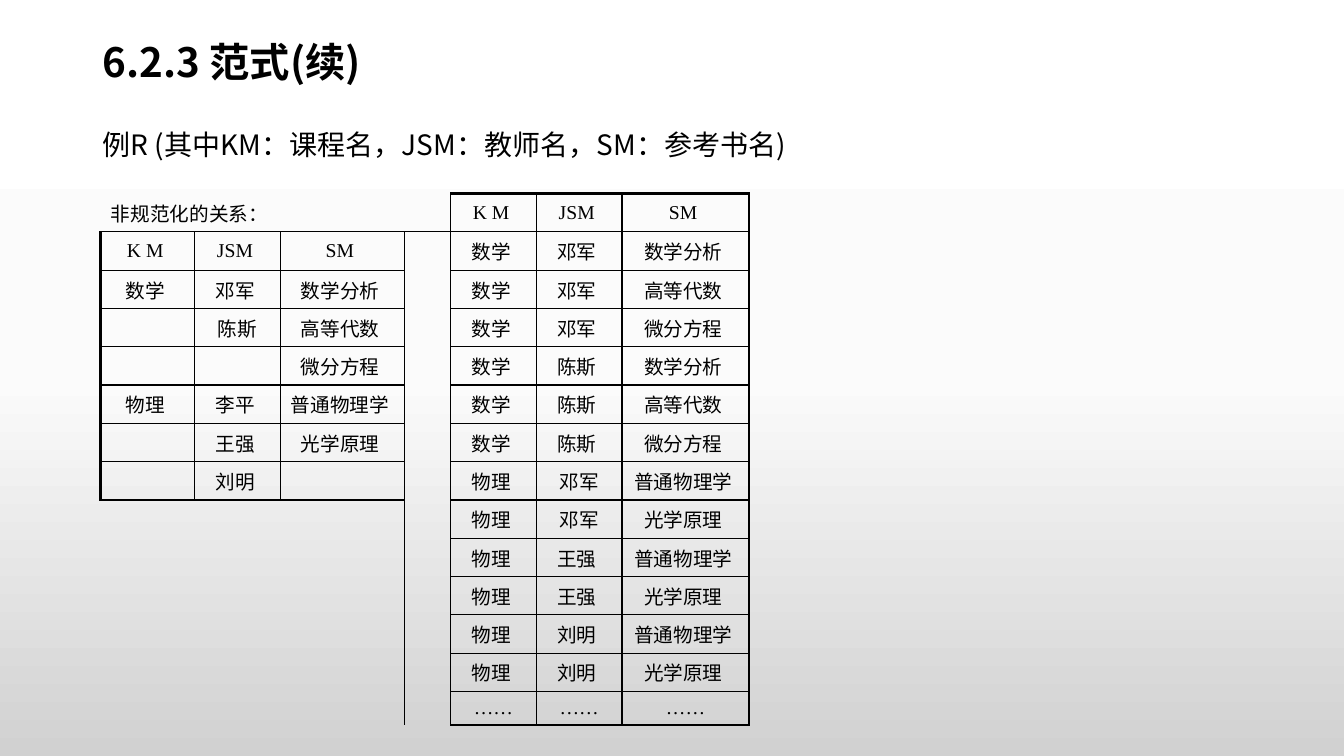
"""Build the slide comparing an unnormalised relation with its flat form."""
from pptx import Presentation
from pptx.dml.color import RGBColor
from pptx.enum.text import MSO_ANCHOR as Anchor, PP_ALIGN as Align
from pptx.oxml import parse_xml
from pptx.oxml.ns import nsdecls, qn
from pptx.util import Inches, Pt

COLORS = {"ink": "000000", "top": "FFFFFF", "middle": "FBFBFB", "bottom": "D1D1D1"}
SANS, SERIF = "Noto Sans CJK SC", "Times New Roman"
TITLE = "6.2.3 范式(续)"
EXAMPLE = "例R (其中KM：课程名，JSM：教师名，SM：参考书名)"
CAPTION = "非规范化的关系："
HEADER = ("K M ", "JSM ", "SM ")
NESTED = [
    HEADER,
    ("数学 ", "邓军 ", "数学分析 "),
    ("", "陈斯", "高等代数 "),
    ("", "", "微分方程 "),
    ("物理 ", "李平 ", "普通物理学 "),
    ("", "王强 ", "光学原理 "),
    ("", "刘明 ", ""),
]
MATHS_BOOKS = ("数学分析 ", "高等代数 ", "微分方程 ")
PHYSICS_BOOKS = ("普通物理学 ", "光学原理 ")
COURSES = [
    ("数学 ", ("邓军 ", "陈斯 "), MATHS_BOOKS),
    ("物理 ", ("邓军", "王强 ", "刘明 "), PHYSICS_BOOKS),
]
FLAT = [HEADER]
FLAT += [(course, teacher, book) for course, teachers, books in COURSES
         for teacher in teachers for book in books]
FLAT.append(("……",) * 3)

COLUMN_WIDTHS = (0.93, 0.85, 1.23, 0.46, 0.85, 0.85, 1.26)
ROW_HEIGHTS = (0.38,) * 13 + (0.32,)
GAP_COLUMN, FLAT_COLUMN = 3, 4
LAST_ROW, LAST_COLUMN = len(ROW_HEIGHTS) - 1, len(COLUMN_WIDTHS) - 1
MERGES = [
    ((0, 0), (0, 3)), ((1, 3), (13, 3)), ((8, 0), (13, 0)), ((8, 1), (9, 1)),
    ((8, 2), (9, 2)), ((10, 1), (10, 2)), ((11, 1), (13, 1)), ((11, 2), (13, 2)),
]
SIDES = {"L": (0, -1), "R": (0, 1), "T": (-1, 0), "B": (1, 0)}
THIN, THICK = 1, 2.25


def style(para, size, font, align, bold=False):
    para.alignment = align
    para.font.size = Pt(size)
    para.font.name = font
    para.font.bold = bold
    para.font.color.rgb = RGBColor.from_string(COLORS["ink"])
    if font == SANS:
        latin = para.font._element.find(qn("a:latin"))
        latin.addnext(parse_xml(f'<a:ea {nsdecls("a")} typeface="{font}"/>'))


def is_ruled(row, column):
    in_nested = 1 <= row <= len(NESTED) and 0 <= column < GAP_COLUMN
    in_flat = 0 <= row <= LAST_ROW and FLAT_COLUMN <= column <= LAST_COLUMN
    return in_nested or in_flat


def border_width(row, column, side):
    down, across = SIDES[side]
    outer = {"L": column == 0, "R": column == LAST_COLUMN,
             "T": row == 0, "B": row == LAST_ROW}
    if is_ruled(row, column):
        return THICK if outer[side] else THIN
    if is_ruled(row + down, column + across):
        return THIN
    beside_gap = (column, side) in ((GAP_COLUMN, "L"), (GAP_COLUMN - 1, "R"))
    return THIN if row > 0 and beside_gap else 0


def draw_borders(cell, row, column):
    properties = cell._tc.get_or_add_tcPr()
    for index, side in enumerate(SIDES):
        width = border_width(row, column, side)
        paint = (f'<a:solidFill><a:srgbClr val="{COLORS["ink"]}"/></a:solidFill>'
                 if width else "<a:noFill/>")
        properties.insert(index, parse_xml(
            f'<a:ln{side} {nsdecls("a")} w="{Pt(width)}">{paint}</a:ln{side}>'))


def fill_background(page):
    stops = "".join(
        f'<a:gs pos="{position * 1000}"><a:srgbClr val="{COLORS[name]}"/></a:gs>'
        for position, name in ((0, "top"), (50, "middle"), (100, "bottom")))
    page._element.cSld.insert(0, parse_xml(
        f'<p:bg {nsdecls("p", "a")}><p:bgPr><a:gradFill rotWithShape="1">'
        f'<a:gsLst>{stops}</a:gsLst><a:lin ang="5400000" scaled="0"/>'
        '</a:gradFill><a:effectLst/></p:bgPr></p:bg>'))


def add_headings(page):
    title = page.shapes.title
    title.left, title.top, title.width, title.height = map(Inches, (0.92, 0.36, 8.5, 0.55))
    title.text_frame.text = TITLE
    title.text_frame.vertical_anchor = Anchor.MIDDLE
    para = title.text_frame.paragraphs[0]
    para.line_spacing = 0.9
    style(para, 28.8, SANS, Align.LEFT, bold=True)

    box = page.shapes.add_textbox(*map(Inches, (0.92, 1.25, 8.5, 5.33)))
    box.text_frame.word_wrap = True
    box.text_frame.text = EXAMPLE
    para = box.text_frame.paragraphs[0]
    para.line_spacing = 0.9
    style(para, 20, SANS, Align.JUSTIFY)


def add_relations(page):
    frame = page.shapes.add_table(
        len(ROW_HEIGHTS), len(COLUMN_WIDTHS), Inches(1), Inches(1.92),
        Inches(sum(COLUMN_WIDTHS)), Inches(sum(ROW_HEIGHTS)))
    table = frame.table
    table.first_row = table.horz_banding = False
    for column, width in zip(table.columns, COLUMN_WIDTHS):
        column.width = Inches(width)
    for row, height in zip(table.rows, ROW_HEIGHTS):
        row.height = Inches(height)

    texts = {(0, 0): CAPTION}
    for first_row, first_column, lines in ((1, 0, NESTED), (0, FLAT_COLUMN, FLAT)):
        for row, line in enumerate(lines, first_row):
            for column, text in enumerate(line, first_column):
                texts[row, column] = text

    for row in range(len(ROW_HEIGHTS)):
        for column in range(len(COLUMN_WIDTHS)):
            cell = table.cell(row, column)
            cell.text = texts.get((row, column), "")
            cell.vertical_anchor = Anchor.MIDDLE
            cell.fill.background()
            draw_borders(cell, row, column)
            para = cell.text_frame.paragraphs[0]
            style(para, 14, SERIF, Align.LEFT if (row, column) == (0, 0) else Align.CENTER)
            if not cell.text:
                para._p.append(parse_xml(f'<a:endParaRPr {nsdecls("a")} sz="1400"/>'))
    for start, end in MERGES:
        table.cell(*start).merge(table.cell(*end))


def main():
    deck = Presentation()
    deck.slide_width, deck.slide_height = Inches(13.33), Inches(7.5)
    page = deck.slides.add_slide(deck.slide_layouts[5])
    fill_background(page)
    add_headings(page)
    add_relations(page)
    deck.save("out.pptx")


if __name__ == "__main__":
    main()
